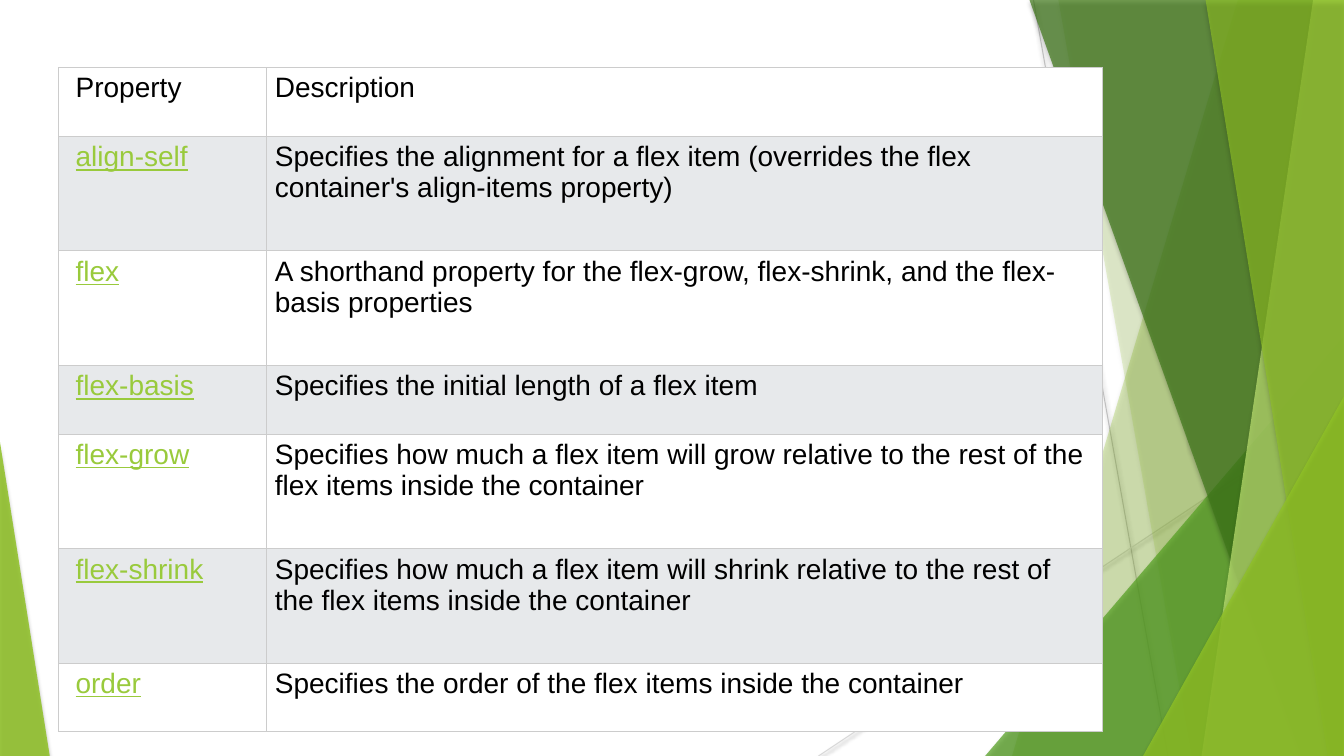
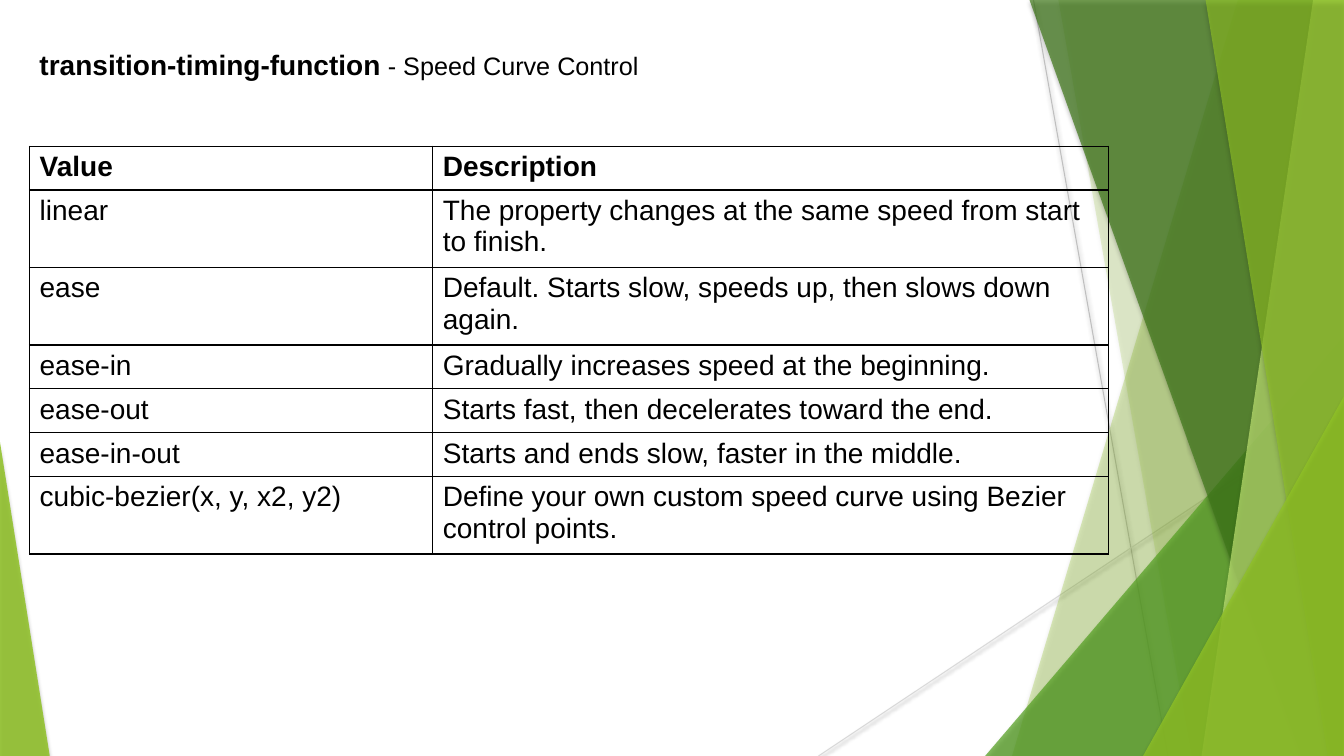
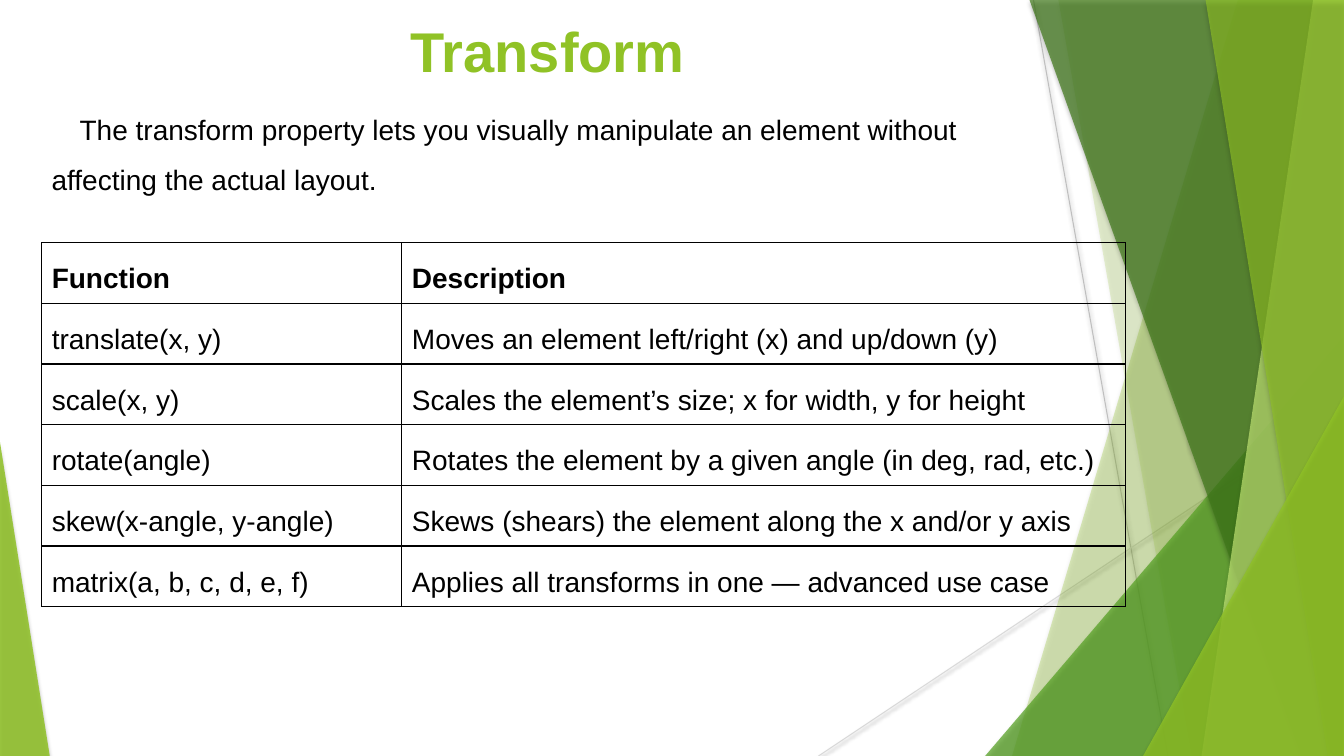
from lxml import etree
from pptx import Presentation
from pptx import util as u
from pptx.dml.color import RGBColor
from pptx.enum import shapes, text
from pptx.oxml.ns import qn

GREEN, LINK, BLACK, WHITE, GREY = "90C226", "99CA3C", "000000", "FFFFFF", "E7E9EB"


def hue(code):
    return RGBColor.from_string(code)


class Deck:
    """Holds the style and the current slide; lengths are percent of the slide."""

    font = "Arial"
    size = 20

    def __init__(self):
        self.prs = Presentation()
        self.prs.slide_width = u.Inches(13.33)
        self.prs.slide_height = u.Inches(7.5)

    def x(self, part):
        return round(self.prs.slide_width * part / 100)

    def y(self, part):
        return round(self.prs.slide_height * part / 100)

    def box(self, left, top, wide, high):
        return self.x(left), self.y(top), self.x(wide), self.y(high)

    def page(self):
        self.slide = self.prs.slides.add_slide(self.prs.slide_layouts[6])
        self.items = self.slide.shapes
        self.decor()

    def decor(self):
        self.line((76.9, 0), (86.9, 100), "BFBFBF")
        self.line((100, 53.7), (60.9, 100), "D9D9D9")
        self.blade(92.1, 75.3, GREEN, 30)
        self.blade(78.75, 88.65, GREEN, 20)
        self.wedge(73.3, 44.45, 26.7, 1, "54A021", 72)
        self.blade(76.6, 96.8, "3F7819", 70)
        self.blade(97.7, 89.4, "C0E474", 70)
        self.blade(89.7, 98.8, GREEN, 65)
        self.wedge(85.05, 52.4, 14.95, 1, GREEN, 80)
        self.wedge(0, 58.5, 3.7, 0, GREEN, 85)

    def shade(self, item, alpha, blur, dist):
        effects = etree.SubElement(item._element.spPr, qn("a:effectLst"))
        outer = etree.SubElement(
            effects, qn("a:outerShdw"), blurRad=str(u.Pt(blur)),
            dist=str(u.Pt(dist)), dir="5400000", algn="ctr", rotWithShape="0")
        tone = etree.SubElement(outer, qn("a:srgbClr"), val=BLACK)
        etree.SubElement(tone, qn("a:alpha"), val=str(alpha * 1000))

    def line(self, start, end, color):
        item = self.items.add_connector(
            shapes.MSO_CONNECTOR.STRAIGHT, self.x(start[0]), self.y(start[1]),
            self.x(end[0]), self.y(end[1]))
        item.line.color.rgb = hue(color)
        item.line.width = u.Pt(0.75)
        self.shade(item, 38, 3.1, 1.6)

    def glass(self, item, color, alpha):
        item.fill.solid()
        item.fill.fore_color.rgb = hue(color)
        tone = item._element.spPr.find(qn("a:solidFill"))[0]
        etree.SubElement(tone, qn("a:alpha"), val=str(alpha * 1000))
        item.line.fill.background()
        self.shade(item, 35, 3, 2)

    def blade(self, top, foot, color, alpha):
        pen = self.items.build_freeform(self.x(top), 0)
        pen.add_line_segments(
            [(self.x(100), 0), (self.x(100), self.y(100)), (self.x(foot), self.y(100))])
        self.glass(pen.convert_to_shape(), color, alpha)

    def wedge(self, left, top, wide, peak, color, alpha):
        item = self.items.add_shape(
            shapes.MSO_SHAPE.ISOSCELES_TRIANGLE, *self.box(left, top, wide, 100 - top))
        item.adjustments[0] = peak
        self.glass(item, color, alpha)

    def run(self, para, words, size=size, color=BLACK, bold=False, under=False):
        run = para.add_run()
        run.text = words
        run.font.name = self.font
        run.font.size = u.Pt(size)
        run.font.color.rgb = hue(color)
        run.font.bold = bold
        run.font.underline = under

    def text(self, place):
        frame = self.items.add_textbox(*self.box(*place)).text_frame
        frame.word_wrap = True
        return frame.paragraphs[0]

    def border(self, cell, color, width):
        props = cell._tc.get_or_add_tcPr()
        for side in ("lnL", "lnR", "lnT", "lnB"):
            edge = etree.SubElement(props, qn("a:" + side), w=str(u.Pt(width)))
            fill = etree.SubElement(edge, qn("a:solidFill"))
            etree.SubElement(fill, qn("a:srgbClr"), val=color)

    def table(self, left, top, cols, highs, rows, space=None, banded=False):
        grid = self.items.add_table(
            len(rows), len(cols), *self.box(left, top, sum(cols), sum(highs))).table
        grid.first_row = grid.horz_banding = False
        for col, wide in zip(grid.columns, cols):
            col.width = self.x(wide)
        for i, (row, high) in enumerate(zip(rows, highs)):
            grid.rows[i].height = self.y(high)
            for j, words in enumerate(row):
                cell = grid.cell(i, j)
                link = banded and i > 0 and j == 0
                if banded:
                    self.border(cell, "CCCCCC", 0.75)
                    cell.fill.solid()
                    cell.fill.fore_color.rgb = hue(GREY if i % 2 else WHITE)
                    cell.margin_left = u.Inches(0.08 if j else 0.17)
                    cell.margin_right = u.Inches(0.08)
                else:
                    self.border(cell, BLACK, 0.96)
                    cell.fill.background()
                para = cell.text_frame.paragraphs[0]
                if space:
                    para.line_spacing = space
                self.run(para, words, color=LINK if link else BLACK,
                         bold=i == 0 and not banded, under=link)


def flex(deck):
    deck.page()
    one, two = 9.1, 15.15
    deck.table(4.35, 8.93, (15.5, 62.2), (one, two, two, one, two, two, one), [
        ("Property", "Description"),
        ("align-self", "Specifies the alignment for a flex item (overrides the flex "
                       "container's align-items property)"),
        ("flex", "A shorthand property for the flex-grow, flex-shrink, and the "
                 "flex-basis properties"),
        ("flex-basis", "Specifies the initial length of a flex item"),
        ("flex-grow", "Specifies how much a flex item will grow relative to the rest "
                      "of the flex items inside the container"),
        ("flex-shrink", "Specifies how much a flex item will shrink relative to the "
                        "rest of the flex items inside the container"),
        ("order", "Specifies the order of the flex items inside the container"),
    ], banded=True)


def timing(deck):
    deck.page()
    one, two = 5.8, 10.25
    deck.table(2.2, 19.35, (30, 50.3), (one, two, two, one, one, one, two), [
        ("Value", "Description"),
        ("linear", "The property changes at the same speed from start to finish."),
        ("ease", "Default. Starts slow, speeds up, then slows down again."),
        ("ease-in", "Gradually increases speed at the beginning."),
        ("ease-out", "Starts fast, then decelerates toward the end."),
        ("ease-in-out", "Starts and ends slow, faster in the middle."),
        ("cubic-bezier(x, y, x2, y2)",
         "Define your own custom speed curve using Bezier control points."),
    ])
    para = deck.text((2.2, 5.6, 50, 5.8))
    deck.run(para, "transition-timing-function", bold=True)
    deck.run(para, " - Speed Curve Control", size=18)


def transform(deck):
    deck.page()
    title = deck.text((5.5, 1.5, 70.5, 10.4))
    title.alignment = text.PP_ALIGN.CENTER
    deck.run(title, "Transform", size=40, color=GREEN, bold=True)
    intro = deck.text((3.1, 12, 76, 14.7))
    intro.line_spacing = 1.5
    intro._p.get_or_add_pPr().set("indent", str(u.Pt(20)))
    deck.run(intro, "The transform property lets you visually manipulate an element "
                    "without affecting the actual layout.")
    rows = [
        ("Function", "Description"),
        ("translate(x, y)", "Moves an element left/right (x) and up/down (y)"),
        ("scale(x, y)", "Scales the element’s size; x for width, y for height"),
        ("rotate(angle)", "Rotates the element by a given angle (in deg, rad, etc.)"),
        ("skew(x-angle, y-angle)", "Skews (shears) the element along the x and/or y axis"),
        ("matrix(a, b, c, d, e, f)", "Applies all transforms in one — advanced use case"),
    ]
    deck.table(3.1, 32.1, (26.8, 53.85), [8.03] * len(rows), rows, space=1.5)


def main():
    deck = Deck()
    flex(deck)
    timing(deck)
    transform(deck)
    deck.prs.save("out.pptx")


if __name__ == "__main__":
    main()
